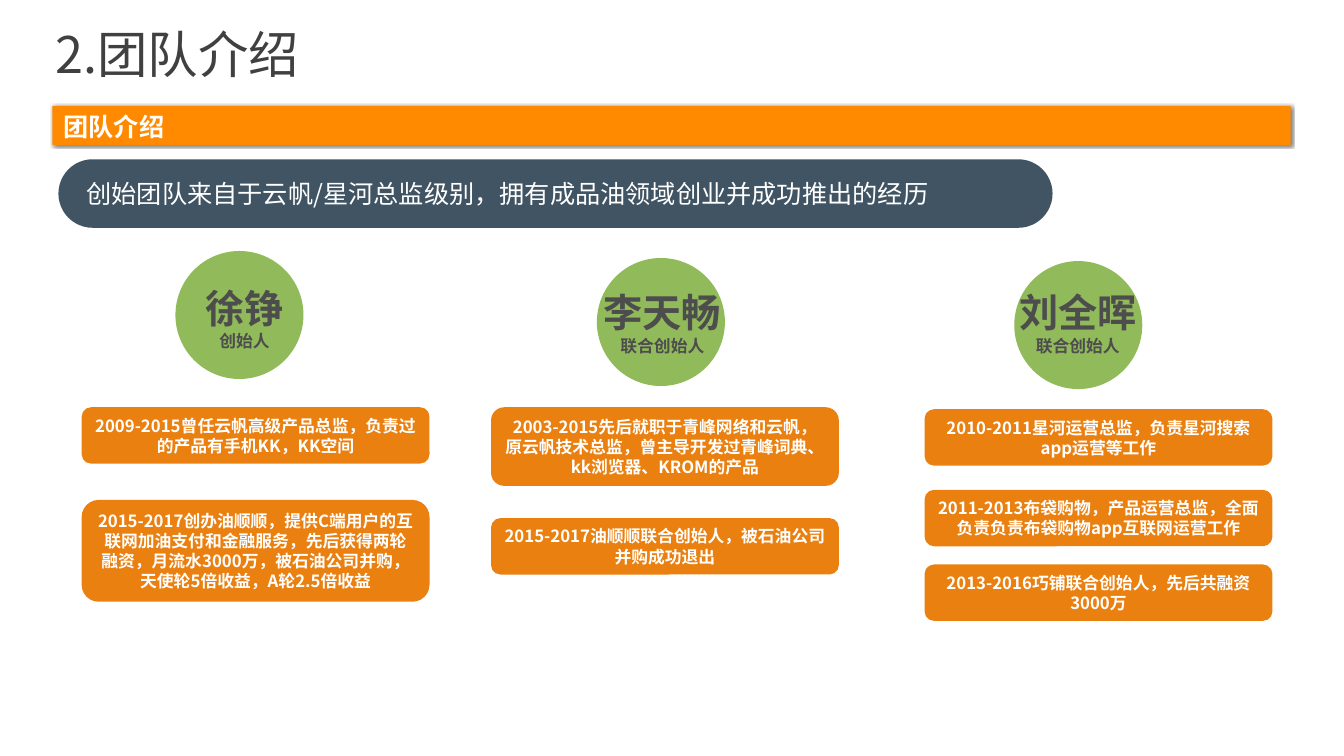
import pptx
import pptx.dml.color
import pptx.enum.shapes
import pptx.enum.text
import pptx.oxml
import pptx.oxml.ns
import pptx.util
from lxml import etree

Inches = pptx.util.Inches
Pt = pptx.util.Pt
RGBColor = pptx.dml.color.RGBColor
Shapes = pptx.enum.shapes.MSO_SHAPE
Align = pptx.enum.text.PP_ALIGN
Anchor = pptx.enum.text.MSO_ANCHOR
AutoSize = pptx.enum.text.MSO_AUTO_SIZE
qn = pptx.oxml.ns.qn

FONT = "Noto Sans CJK SC"
WHITE = RGBColor(0xFF, 0xFF, 0xFF)
TITLE_GREY = RGBColor(0x40, 0x40, 0x40)
NAME_GREY = RGBColor(0x4D, 0x4D, 0x4D)
BANNER_ORANGE = RGBColor(0xFF, 0x8A, 0x00)
CARD_ORANGE = RGBColor(0xEA, 0x80, 0x10)
SLATE = RGBColor(0x41, 0x54, 0x63)
GREEN = RGBColor(0x91, 0xBA, 0x5B)

CIRCLE_SIZE = 1.27
CARD_WIDTH = 3.45

# Each member: name, role, circle corner, name box (left, top, width),
# card left edge, and cards as (top, height, text).
MEMBERS = [
    ("徐铮", "创始人", (1.74, 2.49), (1.93, 2.77, 0.99), 0.81, [
        (4.04, 0.56, "2009-2015曾任云帆高级产品总监，负责过的产品有手机KK，KK空间"),
        (4.96, 1.01, "2015-2017创办油顺顺，提供C端用户的互联网加油支付和金融服务，"
                     "先后获得两轮融资，月流水3000万，被石油公司并购，"
                     "天使轮5倍收益，A轮2.5倍收益"),
    ]),
    ("李天畅", "联合创始人", (5.92, 2.56), (5.88, 2.81, 1.38), 4.87, [
        (4.04, 0.78, "2003-2015先后就职于青峰网络和云帆，原云帆技术总监，"
                     "曾主导开发过青峰词典、kk浏览器、KROM的产品"),
        (5.14, 0.56, "2015-2017油顺顺联合创始人，被石油公司并购成功退出"),
    ]),
    ("刘全晖", "联合创始人", (10.06, 2.59), (10, 2.81, 1.38), 9.17, [
        (4.06, 0.56, "2010-2011星河运营总监，负责星河搜索app运营等工作"),
        (4.86, 0.56, "2011-2013布袋购物，产品运营总监，"
                     "全面负责负责布袋购物app互联网运营工作"),
        (5.6, 0.56, "2013-2016巧铺联合创始人，先后共融资3000万"),
    ]),
]


class TeamSlide:
    def __init__(self, presentation):
        self.slide = presentation.slides.add_slide(presentation.slide_layouts[6])

    def shape(self, kind, box, color):
        shape = self.slide.shapes.add_shape(kind, *map(Inches, box))
        shape.shadow.inherit = False
        shape.fill.solid()
        shape.fill.fore_color.rgb = color
        shape.line.fill.background()
        return shape

    def drop_shadow(self, shape):
        effects = shape._element.spPr.find(qn("a:effectLst"))
        shadow = etree.SubElement(effects, qn("a:outerShdw"), {
            "blurRad": str(Pt(2)), "dist": str(Pt(1)), "dir": "2700000",
            "algn": "tl", "rotWithShape": "0"})
        color = etree.SubElement(shadow, qn("a:srgbClr"), val="000000")
        etree.SubElement(color, qn("a:alpha"), val="50000")

    def fill_text(self, frame, lines, color, bold=False, align=Align.LEFT, spacing=None):
        """Fill a text frame with (text, size) lines, one paragraph each."""
        for index, (text, size) in enumerate(lines):
            paragraph = frame.add_paragraph() if index else frame.paragraphs[0]
            paragraph.alignment = align
            paragraph.line_spacing = spacing
            run = paragraph.add_run()
            run.text = text
            formats = {"name": FONT, "size": Pt(size), "bold": bold}
            for key, value in formats.items():
                setattr(run.font, key, value)
            run.font.color.rgb = color
            properties = run._r.get_or_add_rPr()
            etree.SubElement(properties, qn("a:ea"), typeface=FONT)

    def text(self, box, lines, color, wrap=True, inset=True, **style):
        frame = self.slide.shapes.add_textbox(*map(Inches, box)).text_frame
        formats = {"word_wrap": wrap, "auto_size": AutoSize.SHAPE_TO_FIT_TEXT}
        if not inset:
            for side in ("left", "top", "right", "bottom"):
                formats[f"margin_{side}"] = 0
        for key, value in formats.items():
            setattr(frame, key, value)
        self.fill_text(frame, lines, color, **style)

    def card(self, box, text):
        frame = self.shape(Shapes.ROUNDED_RECTANGLE, box, CARD_ORANGE).text_frame
        formats = {"word_wrap": True, "vertical_anchor": Anchor.MIDDLE,
                   "auto_size": AutoSize.SHAPE_TO_FIT_TEXT}
        for key, value in formats.items():
            setattr(frame, key, value)
        self.fill_text(frame, [(text, 12)], WHITE, bold=True, align=Align.CENTER)

    def member(self, name, role, circle, name_box, card_left, cards):
        self.shape(Shapes.OVAL, (*circle, CIRCLE_SIZE, CIRCLE_SIZE), GREEN)
        self.text((*name_box, 0.77), [(name, 28), (role, 12)], NAME_GREY,
                  wrap=False, bold=True, align=Align.CENTER)
        for top, height, text in cards:
            self.card((card_left, top, CARD_WIDTH, height), text)


def main():
    presentation = pptx.Presentation()
    presentation.slide_width = Inches(13.33)
    presentation.slide_height = Inches(7.5)
    team = TeamSlide(presentation)

    banner = team.shape(Shapes.RECTANGLE, (0.52, 1.05, 12.28, 0.39), BANNER_ORANGE)
    team.drop_shadow(banner)
    team.text((0.55, 0.35, 12.26, 0.48), [("2.团队介绍", 36)], TITLE_GREY,
              inset=False, spacing=0.8)
    team.text((0.63, 1.1, 11.69, 0.3), [("团队介绍", 18)], WHITE,
              inset=False, bold=True)

    summary = team.shape(Shapes.ROUNDED_RECTANGLE, (0.58, 1.58, 9.86, 0.68), SLATE)
    summary.adjustments[0] = 0.5
    team.text((0.76, 1.72, 9.52, 0.4),
              [("创始团队来自于云帆/星河总监级别，拥有成品油领域创业并成功推出的经历", 18)],
              WHITE)

    for member in MEMBERS:
        team.member(*member)
    presentation.save("out.pptx")


if __name__ == "__main__":
    main()
